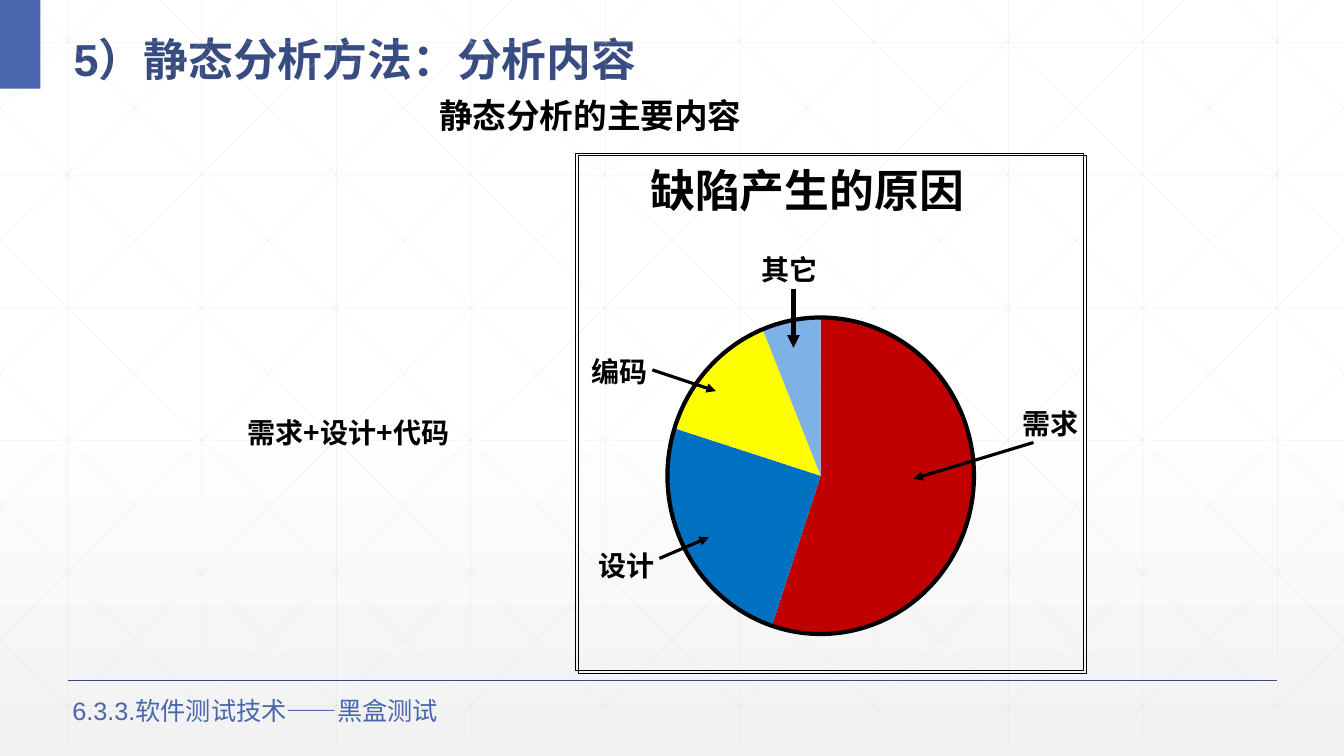
from dataclasses import dataclass

from lxml import etree
from pptx import Presentation
from pptx.dml.color import RGBColor
from pptx.enum.lang import MSO_LANGUAGE_ID
from pptx.enum.shapes import MSO_CONNECTOR, MSO_SHAPE
from pptx.enum.text import MSO_ANCHOR, MSO_AUTO_SIZE, PP_ALIGN
from pptx.oxml.ns import qn
from pptx.util import Inches, Pt

STRAIGHT = MSO_CONNECTOR.STRAIGHT
RECTANGLE, OVAL, PIE = MSO_SHAPE.RECTANGLE, MSO_SHAPE.OVAL, MSO_SHAPE.PIE
LEFT, CENTER = PP_ALIGN.LEFT, PP_ALIGN.CENTER
TOP, MIDDLE = MSO_ANCHOR.TOP, MSO_ANCHOR.MIDDLE
CHINESE = MSO_LANGUAGE_ID.SIMPLIFIED_CHINESE


@dataclass(frozen=True)
class Theme:
    white: RGBColor = RGBColor(0xFF, 0xFF, 0xFF)
    pale: RGBColor = RGBColor(0xF2, 0xF2, 0xF2)
    grid: RGBColor = RGBColor(0xD9, 0xD9, 0xD9)
    black: RGBColor = RGBColor(0, 0, 0)
    navy: RGBColor = RGBColor(0x38, 0x4C, 0x81)
    blue: RGBColor = RGBColor(0x4A, 0x66, 0xAC)
    requirement: RGBColor = RGBColor(0xC0, 0, 0)
    design: RGBColor = RGBColor(0, 0x70, 0xC0)
    coding: RGBColor = RGBColor(0xFF, 0xFF, 0)
    other: RGBColor = RGBColor(0x7E, 0xB2, 0xE6)
    title_size: int = 32
    subtitle_size: int = 24
    label_size: int = 20
    footer_size: int = 18
    font: str = "Arial"
    narrow_font: str = "Arial Narrow"
    chinese_font: str = "Noto Sans CJK SC"


theme = Theme()
WIDTH, HEIGHT, GRID_BOTTOM = 13.33, 7.5, 7.37


def add_line(start, end, color, width, alpha=None, arrow=False):
    line = slide.shapes.add_connector(STRAIGHT, *[Inches(v) for v in (*start, *end)])
    line.line.color.rgb = color
    line.line.width = Pt(width)
    etree.SubElement(line._element.spPr, qn("a:effectLst"))
    outline = line.line._get_or_add_ln()
    if alpha is not None:
        color_element = outline.find(".//" + qn("a:srgbClr"))
        etree.SubElement(color_element, qn("a:alpha"), val=str(alpha * 1000))
    if arrow:
        etree.SubElement(outline, qn("a:tailEnd"), type="triangle")


def write(shape, box, text, size, font, color, bold=True, spacing=1.0,
          align=LEFT, anchor=TOP, inset=(0.1, 0.05), wrap=True):
    """Place a text shape and give it one formatted run."""
    shape.left, shape.top, shape.width, shape.height = [Inches(v) for v in box]
    frame = shape.text_frame
    frame.word_wrap = wrap
    frame.auto_size = MSO_AUTO_SIZE.NONE
    frame.vertical_anchor = anchor
    frame.margin_left = frame.margin_right = Inches(inset[0])
    frame.margin_top = frame.margin_bottom = Inches(inset[1])
    paragraph = frame.paragraphs[0]
    paragraph.alignment = align
    paragraph.line_spacing = spacing
    run = paragraph.add_run()
    run.text = text
    run.font.size = Pt(size)
    run.font.name = font
    run.font.bold = bold
    run.font.color.rgb = color
    run.font.language_id = CHINESE
    etree.SubElement(run._r.get_or_add_rPr(), qn("a:ea"), typeface=theme.chinese_font)


presentation = Presentation()
presentation.slide_width = Inches(WIDTH)
presentation.slide_height = Inches(HEIGHT)
slide = presentation.slides.add_slide(presentation.slide_layouts[5])
shapes = slide.shapes

# Background gradient
background = slide.background.fill
background.gradient()
background.gradient_angle = 270
for stop, color, position in zip(background.gradient_stops,
                                 (theme.white, theme.pale), (0.53, 1)):
    stop.color.rgb = color
    stop.position = position

# Background grid
grid_lines = []
for column in range(10):
    x = 0.67 + column * 4 / 3
    grid_lines.append(((x, 0), (x, GRID_BOTTOM)))
for row in range(6):
    y = 0.42 + row * 1.316
    grid_lines.append(((0, y), (WIDTH, y)))
diagonal_run = 7.45
for step in range(-5, 10):
    origin = 0.25 + step * 4 / 3
    left, right = max(0, origin), min(WIDTH, origin + diagonal_run)
    top, bottom = [(x - origin) * GRID_BOTTOM / diagonal_run for x in (left, right)]
    grid_lines.append(((left, top), (right, bottom)))
    grid_lines.append(((WIDTH - left, top), (WIDTH - right, bottom)))
for start, end in grid_lines:
    add_line(start, end, theme.grid, 0.5, alpha=25)

# Title, subtitle and footer
add_line((0.67, 6.75), (12.67, 6.75), theme.navy, 1)
corner = shapes.add_shape(RECTANGLE, 0, 0, Inches(0.4), Inches(0.88))
corner.shadow.inherit = False
corner.fill.solid()
corner.fill.fore_color.rgb = theme.blue
corner.line.fill.background()

write(shapes.title, (0.63, 0.14, 12.05, 0.73), "5）静态分析方法：分析内容",
      theme.title_size, theme.font, theme.navy, spacing=1.3, anchor=MIDDLE)
write(shapes.add_textbox(0, 0, 0, 0), (3.52, 0.8, 4.67, 0.57), "静态分析的主要内容",
      theme.subtitle_size, theme.chinese_font, theme.black, spacing=1.3,
      align=CENTER, anchor=MIDDLE)
write(shapes.add_textbox(0, 0, 0, 0), (2.36, 4.11, 2.64, 0.47), "需求+设计+代码",
      theme.label_size, theme.chinese_font, theme.black, spacing=0.9)
write(shapes.add_textbox(0, 0, 0, 0), (0.62, 6.85, 4.62, 0.4),
      "6.3.3.软件测试技术——黑盒测试", theme.footer_size, theme.font, theme.blue, bold=False)

# Frame with an offset shadow
frame_box = shapes.add_shape(RECTANGLE, Inches(5.71), Inches(1.52), Inches(5.04), Inches(5.13))
frame_box.fill.background()
frame_box.line.color.rgb = theme.black
frame_box.line.width = Pt(0.75)
frame_box.shadow.inherit = False
effects = frame_box._element.spPr.find(qn("a:effectLst"))
shadow = etree.SubElement(effects, qn("a:outerShdw"), dist=str(Pt(2.8)), dir="2700000")
etree.SubElement(shadow, qn("a:srgbClr"), val=str(theme.black))

# Pie of defect causes: share, colour, label position, arrow start, arrow end, arrow width
causes = [
    ("需求", 55, theme.requirement, (10.14, 3.98), (10.25, 4.39), (9.06, 4.75), 2.25),
    ("设计", 25, theme.design, (5.94, 5.39), (6.54, 5.54), (7.03, 5.33), 2.25),
    ("编码", 14, theme.coding, (5.87, 3.47), (6.47, 3.67), (7.1, 3.88), 2.25),
    ("其它", 6, theme.other, (7.55, 2.46), (7.87, 2.87), (7.87, 3.45), 3),
]
pie_box = [Inches(v) for v in (6.62, 3.15, 3.04, 3.14)]
ADJUSTMENT_PER_DEGREE = 0.6
angle = 270
for name, share, color, *_ in causes:
    end_angle = (angle + share * 3.6) % 360
    pie_slice = shapes.add_shape(PIE, *pie_box)
    pie_slice.adjustments[0] = angle * ADJUSTMENT_PER_DEGREE
    pie_slice.adjustments[1] = end_angle * ADJUSTMENT_PER_DEGREE
    pie_slice.shadow.inherit = False
    pie_slice.fill.solid()
    pie_slice.fill.fore_color.rgb = color
    pie_slice.line.fill.background()
    angle = end_angle

pie_outline = shapes.add_shape(OVAL, *pie_box)
pie_outline.shadow.inherit = False
pie_outline.fill.background()
pie_outline.line.color.rgb = theme.black
pie_outline.line.width = Pt(3)

for name, _, _, position, arrow_start, arrow_end, arrow_width in causes:
    write(shapes.add_textbox(0, 0, 0, 0), (*position, 0.56, 0.44), name, theme.label_size,
          theme.narrow_font, theme.black, inset=(0, 0.05), wrap=False)
    add_line(arrow_start, arrow_end, theme.black, arrow_width, arrow=True)

write(shapes.add_textbox(0, 0, 0, 0), (6.2, 1.45, 4.13, 0.96), "缺陷产生的原因",
      theme.title_size, theme.narrow_font, theme.black, spacing=0.85, inset=(0.25, 0.25))

presentation.save("out.pptx")
